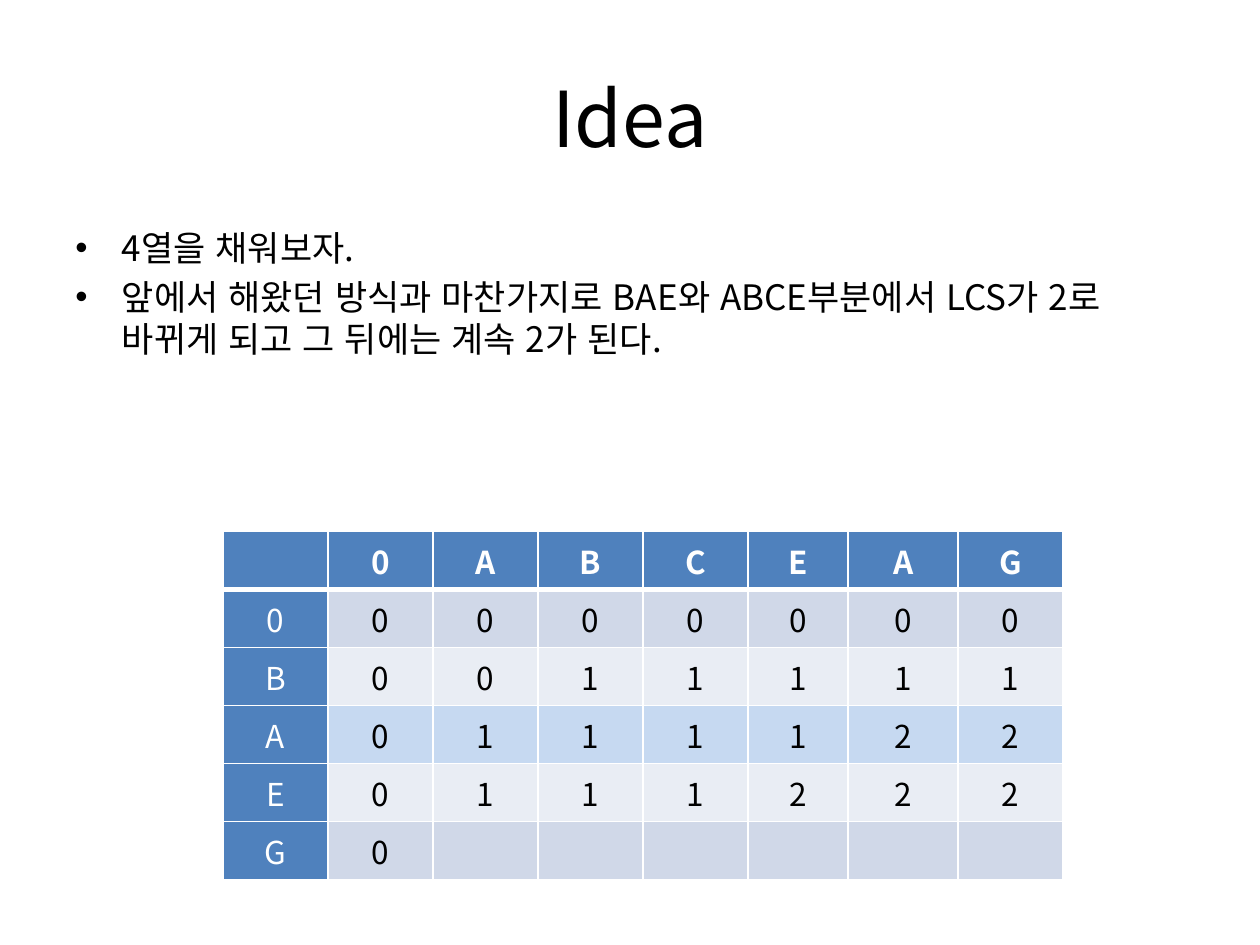
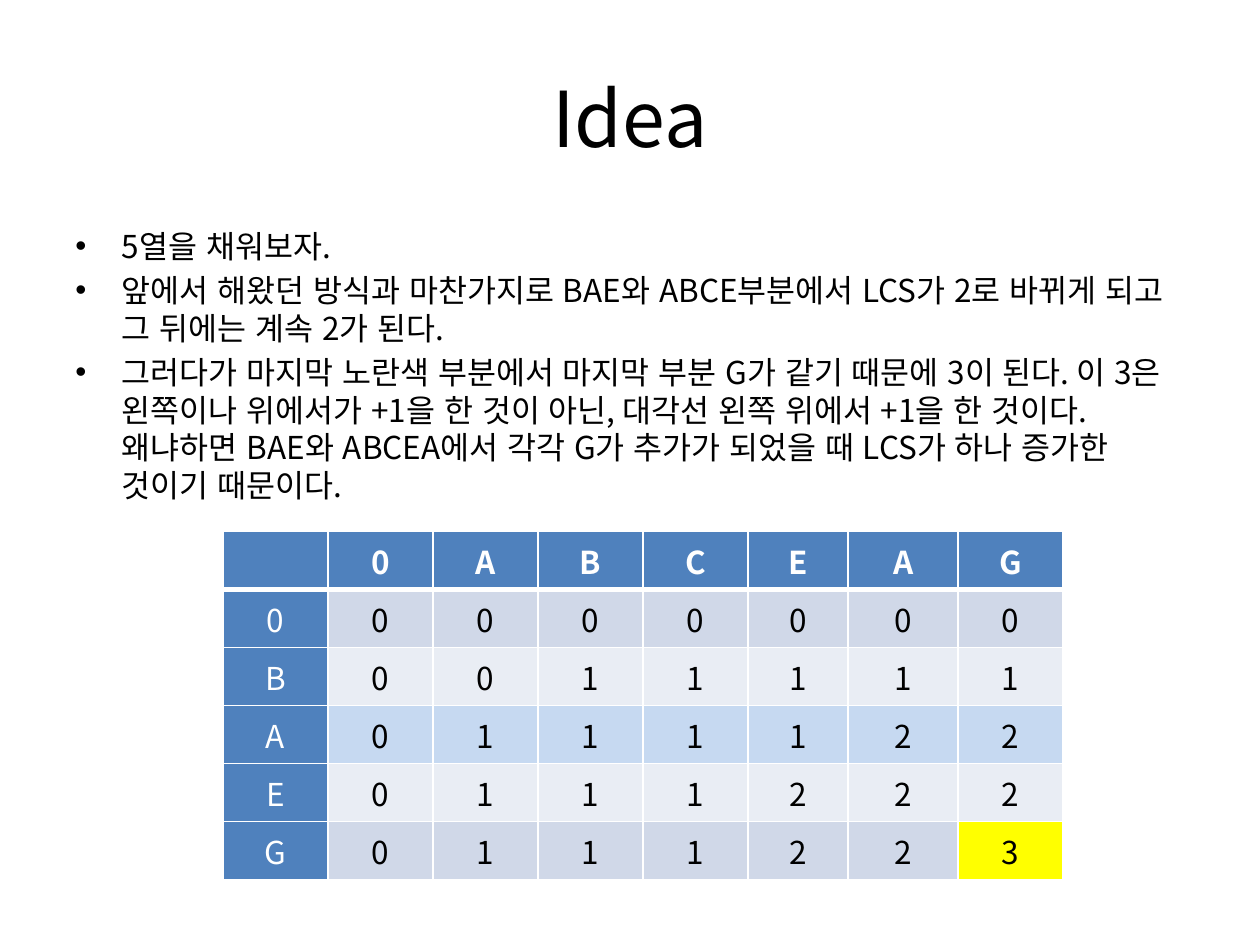
import pptx
import pptx.dml.color
import pptx.enum.text
import pptx.oxml
import pptx.oxml.ns
import pptx.util
from pptx.util import Inches

RGBColor = pptx.dml.color.RGBColor
ALIGN = pptx.enum.text.PP_ALIGN
ANCHOR = pptx.enum.text.MSO_ANCHOR

FONT = "Noto Sans CJK KR"
BLACK = RGBColor(0x00, 0x00, 0x00)
WHITE = RGBColor(0xFF, 0xFF, 0xFF)
HEADER_BLUE = RGBColor(0x4F, 0x81, 0xBD)
BAND_DARK = RGBColor(0xD0, 0xD8, 0xE8)
BAND_LIGHT = RGBColor(0xE9, 0xED, 0xF4)
ROW_BLUE = RGBColor(0xC6, 0xD9, 0xF1)
YELLOW = RGBColor(0xFF, 0xFF, 0x00)

TABLE_WIDTH = 6.67
COLUMN_SHARES = [0.83, 0.83, 0.83, 0.83, 0.83, 0.79, 0.87, 0.83]
ROW_HEIGHT = 0.46
ROW_FILLS = [HEADER_BLUE, BAND_DARK, BAND_LIGHT, ROW_BLUE, BAND_LIGHT, BAND_DARK]

LCS_ROWS = [
    " 0ABCEAG",
    "00000000",
    "B0011111",
    "A0111122",
    "E0111222",
]
LCS_RULE = "앞에서 해왔던 방식과 마찬가지로 BAE와 ABCE부분에서 LCS가 2로 바뀌게 되고 그 뒤에는 계속 2가 된다."
LAST_CELL_RULE = (
    "그러다가 마지막 노란색 부분에서 마지막 부분 G가 같기 때문에 3이 된다. "
    "이 3은 왼쪽이나 위에서가 +1을 한 것이 아닌, 대각선 왼쪽 위에서 +1을 한 것이다. "
    "왜냐하면 BAE와 ABCEA에서 각각 G가 추가가 되었을 때 LCS가 하나 증가한 것이기 때문이다."
)


def add_xml(parent, tag, **attributes):
    child = pptx.oxml.parse_xml(f"<a:{tag} {pptx.oxml.ns.nsdecls('a')}/>")
    for name, value in attributes.items():
        child.set(name, str(value))
    parent.append(child)
    return child


def format_text(para, size, color, bold=False):
    for span in para.runs:
        span.font.size = pptx.util.Pt(size)
        span.font.bold = bold
        span.font.color.rgb = color
        span.font.name = FONT
        properties = span.font._element
        properties.set("lang", "ko-KR")
        properties.set("kern", "1200")
        add_xml(properties, "ea", typeface=FONT)


def add_text_box(page, left, top, width, height):
    box = page.shapes.add_textbox(Inches(left), Inches(top), Inches(width), Inches(height))
    box.text_frame.word_wrap = True
    return box.text_frame


def add_title(page, text):
    frame = add_text_box(page, 0.5, 0.3, 9, 1.25)
    frame.vertical_anchor = ANCHOR.MIDDLE
    frame.text = text
    para = frame.paragraphs[0]
    para.alignment = ALIGN.CENTER
    format_text(para, 44, BLACK)


def add_bullets(page, lines, size):
    frame = add_text_box(page, 0.5, 1.75, 9, 4.95)
    frame.text = "\n".join(lines)
    for para in frame.paragraphs:
        para.space_before = pptx.util.Pt(size * 0.2)
        format_text(para, size, BLACK)
        properties = para._p.get_or_add_pPr()
        properties.set("marL", str(Inches(0.37)))
        properties.set("indent", str(-Inches(0.37)))
        add_xml(properties, "buFont", typeface="Arial")
        add_xml(properties, "buChar", char="•")


def set_borders(cell, top_width, bottom_width):
    """Draw white cell borders; they must precede the fill in the XML."""
    properties = cell._tc.get_or_add_tcPr()
    for side, width in (("lnL", 1), ("lnR", 1), ("lnT", top_width), ("lnB", bottom_width)):
        line = add_xml(properties, side, w=pptx.util.Pt(width))
        add_xml(add_xml(line, "solidFill"), "srgbClr", val=WHITE)


def add_lcs_table(page, rows, highlight=None):
    frame = page.shapes.add_table(
        len(rows), len(COLUMN_SHARES), Inches(1.77), Inches(4.22),
        Inches(TABLE_WIDTH), Inches(ROW_HEIGHT * len(rows)))
    table = frame.table
    for column, share in zip(table.columns, COLUMN_SHARES):
        column.width = Inches(TABLE_WIDTH * share / sum(COLUMN_SHARES))
    for row_index, values in enumerate(rows):
        table.rows[row_index].height = Inches(ROW_HEIGHT)
        is_top = row_index == 0
        for column_index, value in enumerate(values):
            cell = table.cell(row_index, column_index)
            is_heading = is_top or column_index == 0
            set_borders(cell, 3 if row_index == 1 else 1, 3 if is_top else 1)
            fill = HEADER_BLUE if is_heading else ROW_FILLS[row_index]
            if (row_index, column_index) == highlight:
                fill = YELLOW
            cell.fill.solid()
            cell.fill.fore_color.rgb = fill
            cell.text = value.strip()
            para = cell.text_frame.paragraphs[0]
            para.alignment = ALIGN.CENTER
            format_text(para, 18, WHITE if is_heading else BLACK, is_top)


def add_idea_page(deck, lines, size, last_row, highlight=None):
    page = deck.slides.add_slide(deck.slide_layouts[6])
    add_title(page, "Idea")
    add_bullets(page, lines, size)
    add_lcs_table(page, LCS_ROWS + [last_row], highlight)


def main():
    deck = pptx.Presentation()
    deck.slide_width = Inches(10)
    deck.slide_height = Inches(7.5)
    add_idea_page(deck, ["4열을 채워보자.", LCS_RULE], 20, "G0".ljust(8))
    add_idea_page(deck, ["5열을 채워보자.", LCS_RULE, LAST_CELL_RULE], 18,
                  "G0111223", highlight=(5, 7))
    deck.save("out.pptx")


if __name__ == "__main__":
    main()
